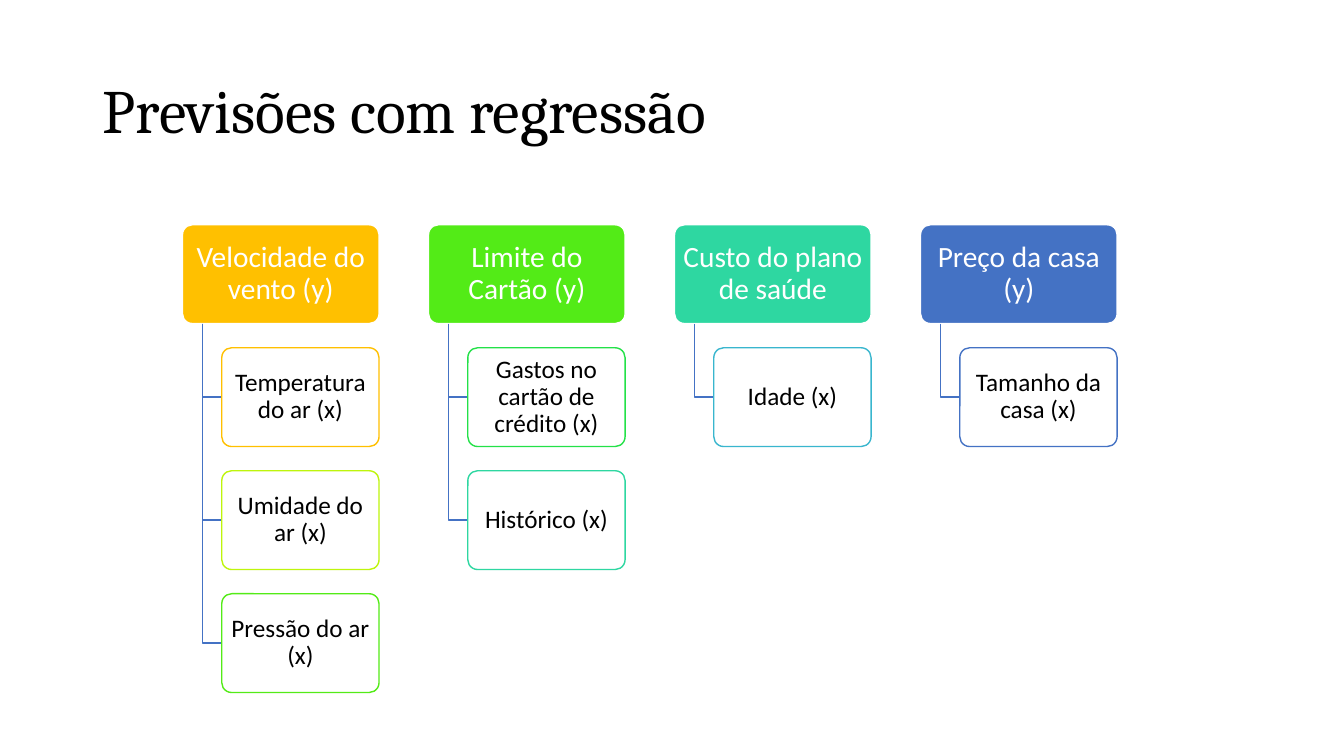
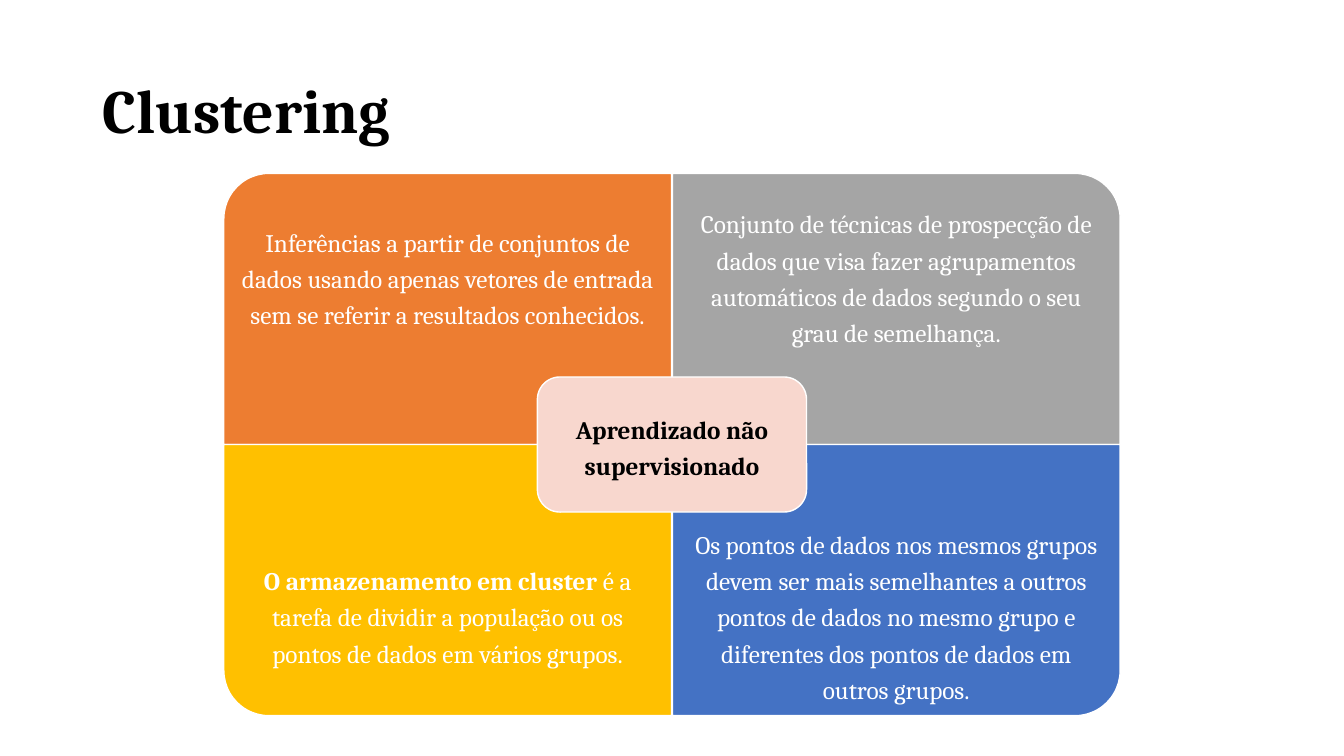
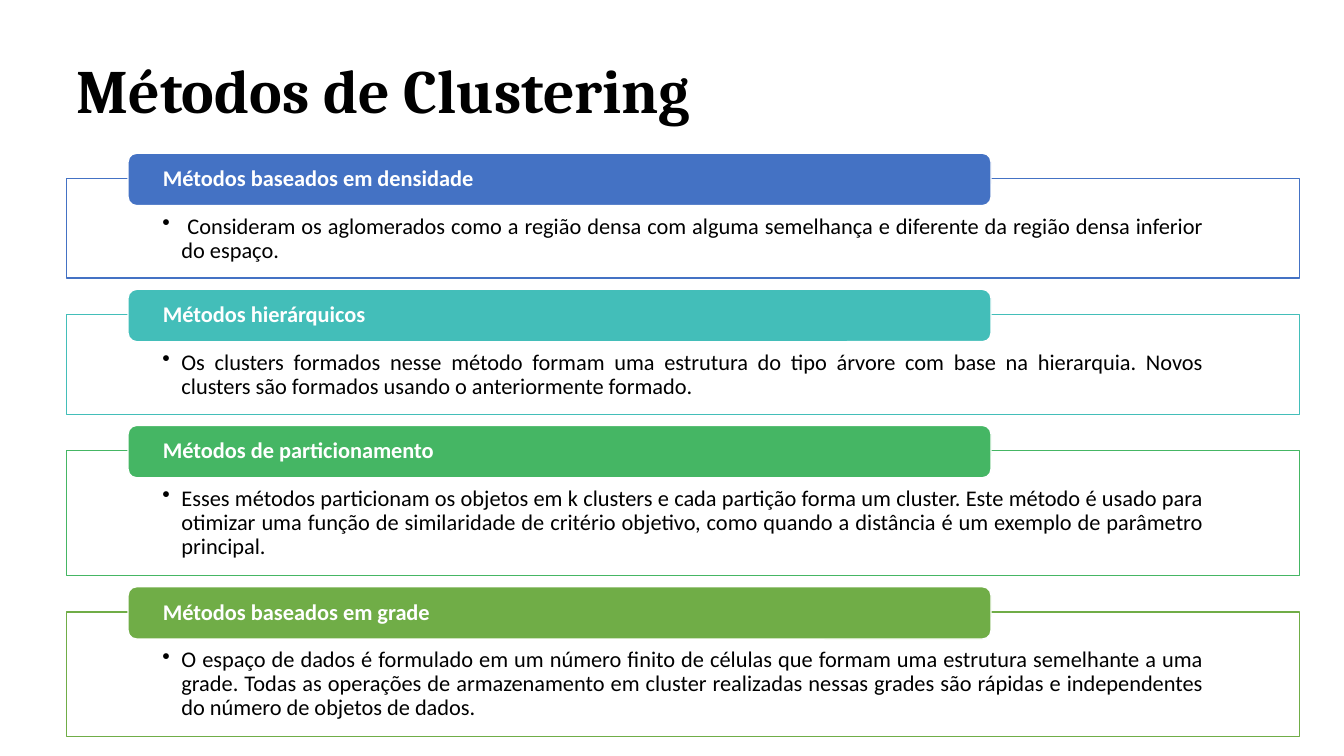
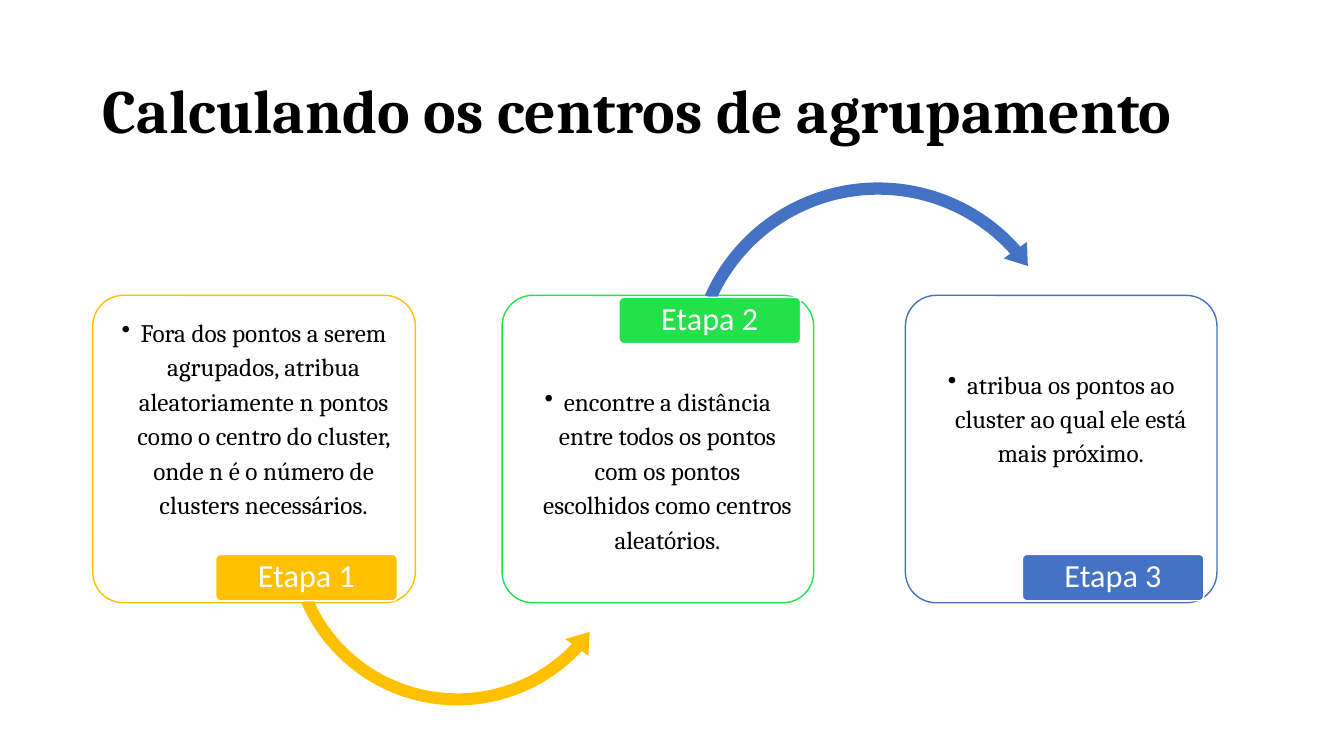
"""Build four slides on regression and clustering."""
from lxml.etree import SubElement
from pptx import Presentation
from pptx.dml.color import RGBColor
from pptx.enum.shapes import MSO_SHAPE as Kind
from pptx.enum.text import MSO_ANCHOR as Anchor, MSO_AUTO_SIZE as AutoSize, PP_ALIGN as Align
from pptx.oxml.ns import qn
from pptx.util import Inches, Pt

BLACK, WHITE, BLUE, GOLD = "000000", "FFFFFF", "4472C4", "FFC000"
LIME, GREEN, MINT = "53EB17", "23E148", "2ED7A1"
HEADING, BODY = "Cambria", "Calibri"
color = RGBColor.from_string


def draw(page, kind, box, fill, line=None, alpha=100, adjust=(), rotation=0):
    """Add a preset shape with its fill, outline and adjustments."""
    shape = page.shapes.add_shape(kind, *map(Inches, box))
    shape.shadow.inherit = False
    shape.rotation = rotation
    shape.fill.solid()
    shape.fill.fore_color.rgb = color(fill)
    if alpha < 100:
        tint = shape.element.spPr.find(qn("a:solidFill")).find(qn("a:srgbClr"))
        SubElement(tint, qn("a:alpha"), val=str(alpha * 1000))
    if line:
        shape.line.color.rgb = color(line)
        shape.line.width = Pt(1)
    else:
        shape.line.fill.background()
    for index, value in enumerate(adjust):
        shape.adjustments[index] = value
    return shape


def write(shape, text, size=18, font=BODY, ink=BLACK, bold=False, lead="", align=Align.CENTER,
          anchor=Anchor.MIDDLE, spacing=0.9, insets=(0.1, 0.05, 0.1, 0.05), bullet=False):
    """Fill a shape with one formatted paragraph, with an optional bold lead."""
    frame = shape.text_frame
    frame.word_wrap = True
    frame.auto_size = AutoSize.NONE
    frame.vertical_anchor = anchor
    frame.margin_left, frame.margin_top, frame.margin_right, frame.margin_bottom = map(Inches, insets)
    para = frame.paragraphs[0]
    para.alignment = align
    para.line_spacing = spacing
    if bullet:
        para.level = 1
        properties = para._p.get_or_add_pPr()
        properties.set("marL", str(Inches(0.19)))
        properties.set("indent", str(Inches(-0.19)))
        SubElement(properties, qn("a:buChar"), char="•")
    for words, heavy in ((lead, True), (text, bold)):
        if words:
            span = para.add_run()
            span.text = words
            span.font.size = Pt(size)
            span.font.name = font
            span.font.bold = heavy
            span.font.color.rgb = color(ink)


deck = Presentation()
deck.slide_width, deck.slide_height = Inches(13.33), Inches(7.5)

pages = []
for title, bold, left, top in (
    ("Previsões com regressão", False, 0.92, 0.4),
    ("Clustering", True, 0.92, 0.4),
    ("Métodos de Clustering", True, 0.66, 0.2),
    ("Calculando os centros de agrupamento", True, 0.92, 0.4),
):
    page = deck.slides.add_slide(deck.slide_layouts[5])
    heading = page.shapes.title
    heading.left, heading.top = Inches(left), Inches(top)
    heading.width, heading.height = Inches(11.5), Inches(1.45)
    write(heading, title, size=44, font=HEADING, bold=bold, align=Align.LEFT)
    pages.append(page)
regression, clustering, methods, centers = pages

targets = (
    ("Velocidade do vento (y)", GOLD, (
        ("Temperatura do ar (x)", GOLD),
        ("Umidade do ar (x)", "BEF50C"),
        ("Pressão do ar (x)", LIME))),
    ("Limite do Cartão (y)", LIME, (
        ("Gastos no cartão de crédito (x)", GREEN),
        ("Histórico (x)", MINT))),
    ("Custo do plano de saúde", MINT, (("Idade (x)", "39B6CE"),)),
    ("Preço da casa (y)", BLUE, (("Tamanho da casa (x)", BLUE),)),
)
tight = (0.04, 0.03, 0.04, 0.03)
for column, (target, fill, features) in enumerate(targets):
    left = 1.81 + 2.44 * column
    head = draw(regression, Kind.ROUNDED_RECTANGLE, (left, 2.23, 1.95, 0.98), fill, WHITE, adjust=[0.1])
    write(head, target, size=21, ink=WHITE, insets=tight)
    for row, (feature, outline) in enumerate(features):
        top = 3.45 + 1.22 * row
        stem, middle = Inches(left + 0.2), Inches(top + 0.49)
        builder = regression.shapes.build_freeform(stem, Inches(3.21))
        builder.add_line_segments([(stem, middle), (Inches(left + 0.39), middle)], close=False)
        elbow = builder.convert_to_shape()
        elbow.shadow.inherit = False
        elbow.fill.background()
        elbow.line.color.rgb = color(BLUE)
        elbow.line.width = Pt(1)
        card = draw(regression, Kind.ROUNDED_RECTANGLE, (left + 0.39, top, 1.56, 0.98), WHITE, outline,
                    alpha=90, adjust=[0.1])
        write(card, feature, insets=tight)

quadrants = (
    (0, 0, 270, "ED7D31", "", "Inferências a partir de conjuntos de dados usando apenas vetores de entrada "
     "sem se referir a resultados conhecidos."),
    (1, 0, 0, "A5A5A5", "", "Conjunto de técnicas de prospecção de dados que visa fazer agrupamentos "
     "automáticos de dados segundo o seu grau de semelhança."),
    (0, 1, 180, GOLD, "O armazenamento em cluster", " é a tarefa de dividir a população ou os pontos de "
     "dados em vários grupos."),
    (1, 1, 90, BLUE, "", "Os pontos de dados nos mesmos grupos devem ser mais semelhantes a outros pontos "
     "de dados no mesmo grupo e diferentes dos pontos de dados em outros grupos."),
)
width, height = 4.44, 2.69
for column, row, rotation, fill, lead, text in quadrants:
    left, top = 2.22 + 4.45 * column, 1.72 + height * row
    turn = (width - height) / 2 if rotation % 180 else 0
    box = (left + turn, top - turn, width - 2 * turn, height + 2 * turn)
    draw(clustering, Kind.ROUND_1_RECTANGLE, box, fill, WHITE, rotation=rotation)
    label = clustering.shapes.add_textbox(*map(Inches, (left, 1.72 + 3.36 * row, width, 2.02)))
    write(label, text, lead=lead, font=HEADING, ink=WHITE, spacing=1.2, insets=[0.14] * 4)
core = draw(clustering, Kind.ROUNDED_RECTANGLE, (5.33, 3.74, 2.67, 1.34), "F8D7CE", WHITE)
write(core, "Aprendizado não supervisionado", font=HEADING, bold=True, spacing=1.2, insets=[0.07] * 4)

bands = (
    ("Métodos baseados em densidade", BLUE, 0.99,
     " Consideram os aglomerados como a região densa com alguma semelhança e diferente da região densa "
     "inferior do espaço."),
    ("Métodos hierárquicos", "43BEB9", 0.99,
     "Os clusters formados nesse método formam uma estrutura do tipo árvore com base na hierarquia. Novos "
     "clusters são formados usando o anteriormente formado."),
    ("Métodos de particionamento", "45B664", 1.24,
     "Esses métodos particionam os objetos em k clusters e cada partição forma um cluster. Este método é "
     "usado para otimizar uma função de similaridade de critério objetivo, como quando a distância é um "
     "exemplo de parâmetro principal."),
    ("Métodos baseados em grade", "70AD47", 1.24,
     "O espaço de dados é formulado em um número finito de células que formam uma estrutura semelhante a "
     "uma grade. Todas as operações de armazenamento em cluster realizadas nessas grades são rápidas e "
     "independentes do número de objetos de dados."),
)
top = 1.77
for name, accent, height, text in bands:
    panel = draw(methods, Kind.RECTANGLE, (0.66, top, 12.23, height), WHITE, accent, alpha=90)
    write(panel, text, size=16, align=Align.JUSTIFY, anchor=Anchor.TOP,
          insets=(0.95, 0.36, 0.95, 0.12), bullet=True)
    tab = draw(methods, Kind.ROUNDED_RECTANGLE, (1.27, top - 0.25, 8.56, 0.52), accent, WHITE)
    write(tab, name, size=16, ink=WHITE, bold=True, align=Align.JUSTIFY, insets=(0.32, 0, 0.32, 0))
    top += height + 0.36

low, high = (0.12, 0.12, 0.12, 0.77), (0.12, 0.77, 0.12, 0.12)
steps = (
    ("Etapa 1", GOLD, 0.92, 3.2, 5.5, Anchor.MIDDLE, low,
     (Kind.LEFT_CIRCULAR_ARROW, (2.77, 3.55, 3.53, 3.53), (0.034, 4.233, 25.827, 94.084, 0.04)),
     "Fora dos pontos a serem agrupados, atribua aleatoriamente n pontos como o centro do cluster, onde n é "
     "o número de clusters necessários."),
    ("Etapa 2", GREEN, 4.98, 3.09, 2.95, Anchor.TOP, high,
     (Kind.CIRCULAR_ARROW, (6.75, 1.73, 3.92, 3.92), (0.031, 3.778, 191.041, 122.329, 0.036)),
     "encontre a distância entre todos os pontos com os pontos escolhidos como centros aleatórios."),
    ("Etapa 3", BLUE, 8.98, 3.09, 5.5, Anchor.MIDDLE, low, None,
     "atribua os pontos ao cluster ao qual ele está mais próximo."),
)
for name, accent, left, width, tag_top, anchor, insets, arrow, text in steps:
    card = draw(centers, Kind.ROUNDED_RECTANGLE, (left, 2.93, width, 3.05), WHITE, accent, alpha=90, adjust=[0.1])
    write(card, text, font=HEADING, anchor=anchor, spacing=1.14, insets=insets, bullet=True)
    if arrow:
        kind, box, adjust = arrow
        draw(centers, kind, box, GOLD if accent == GOLD else BLUE, adjust=adjust)
    tag = draw(centers, Kind.ROUNDED_RECTANGLE, (left + width - 1.98 + 0.05 * (width < 3.2), tag_top, 1.8, 0.46),
               accent, WHITE, adjust=[0.1])
    write(tag, name, size=23, ink=WHITE, insets=(0.05, 0.03, 0.05, 0.03))

deck.save("out.pptx")
